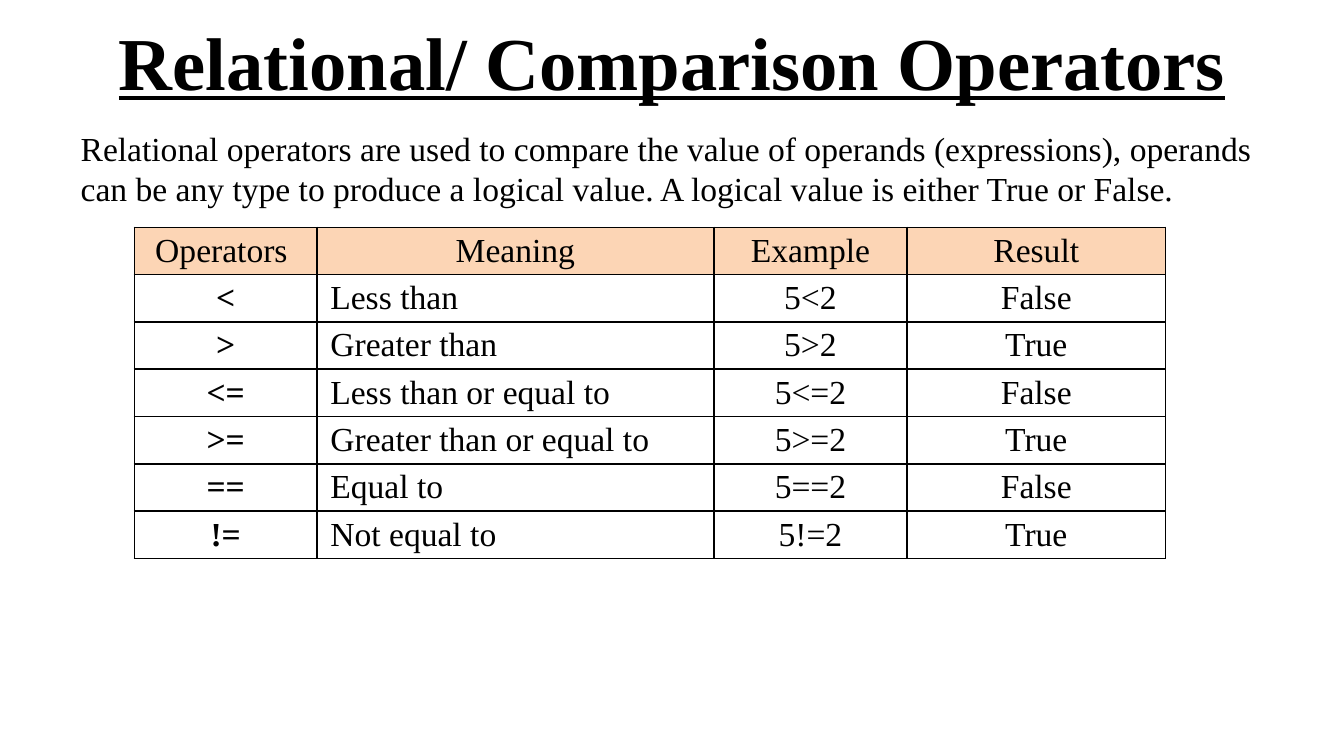
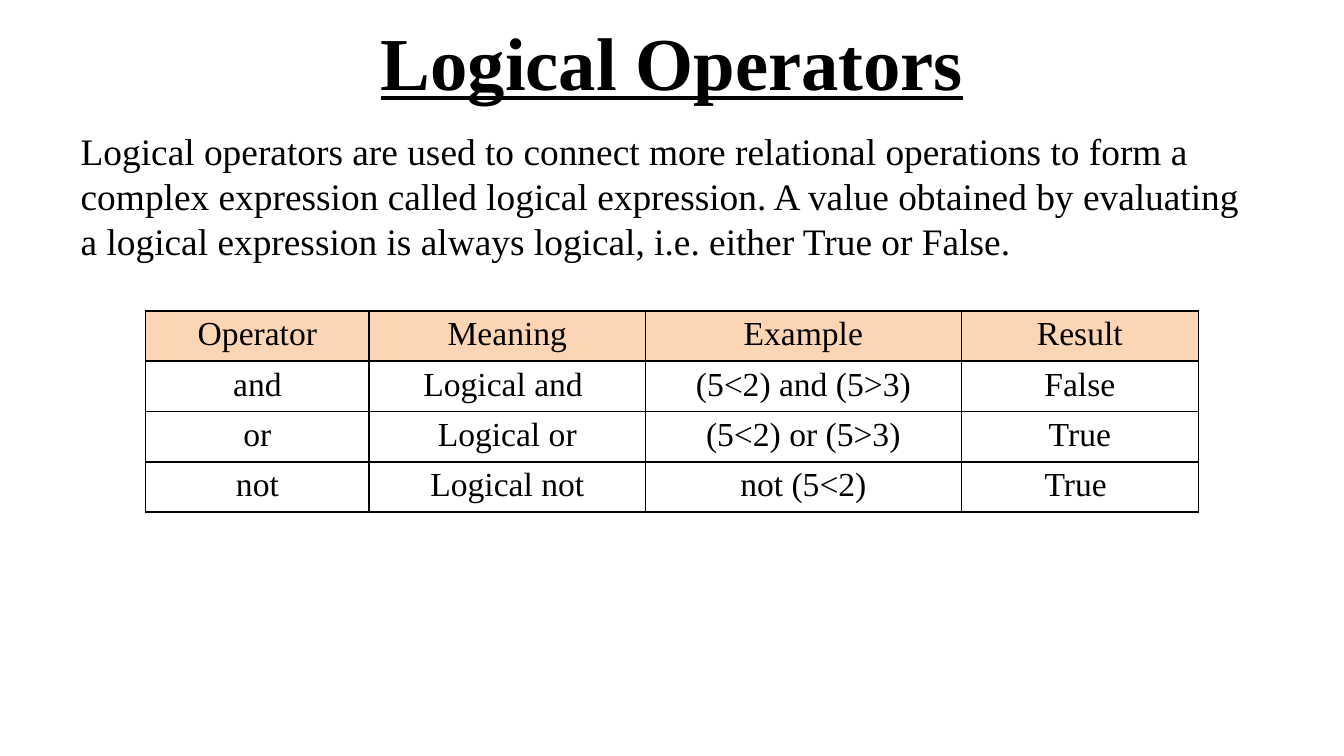
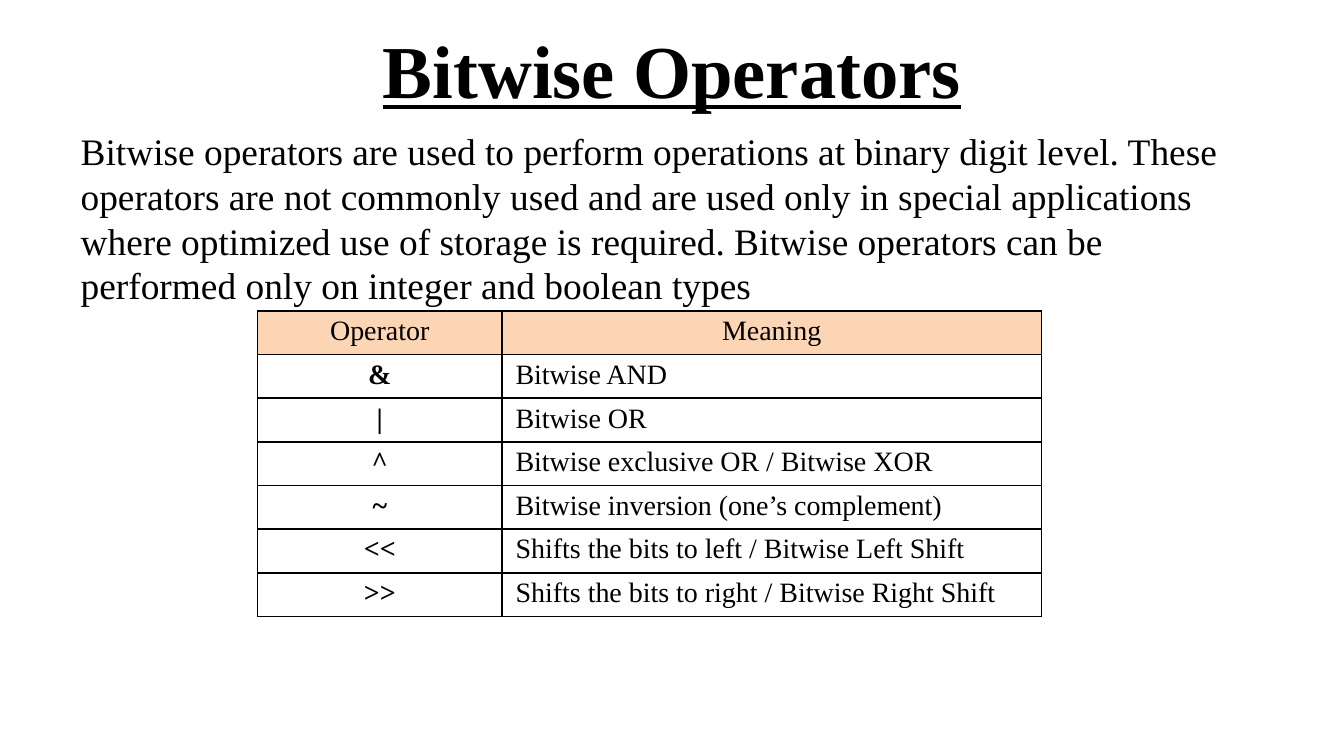
import pptx
import pptx.dml.color
import pptx.enum.text
import pptx.oxml.ns
import pptx.util
from lxml import etree

Pt = pptx.util.Pt
ALIGN = pptx.enum.text.PP_ALIGN

FONT = "Times New Roman"
BLACK = "000000"
HEADER_FILL = "FCD5B5"
MARGIN, CONTENT_WIDTH = 36, 648
TITLE_HEIGHT, TITLE_SIZE = 67.5, 40
BODY_TOP = 65
CELL_INSET_X, CELL_INSET_Y = 7.2, 2.7

SLIDES = [
    {
        "title": "Relational/ Comparison Operators", "title_top": -1.5,
        "body": "Relational operators are used to compare the value of operands (expressions), "
                "operands can be any type to produce a logical value. "
                "A logical value is either True or False.",
        "body_size": 18, "body_height": 66,
        "table_at": (72, 121.8), "columns": (97.8, 212.6, 103.6, 138.4),
        "row_height": 25.33, "table_size": 18, "symbols_first": True,
        "rows": [
            ("Operators ", "Meaning", "Example", "Result"),
            ("<", "Less than", "5<2", "False"),
            (">", "Greater than", "5>2", "True"),
            ("<=", "Less than or equal to", "5<=2", "False"),
            (">=", "Greater than or equal to", "5>=2", "True"),
            ("==", "Equal to", "5==2", "False"),
            ("!=", "Not equal to", "5!=2", "True"),
        ],
    },
    {
        "title": "Logical Operators", "title_top": -1.5,
        "body": "Logical operators are used to connect more relational operations to form a "
                "complex expression called logical expression. A value obtained by evaluating "
                "a logical expression is always logical, i.e. either True or False.",
        "body_size": 20, "body_height": 120,
        "table_at": (78, 166.5), "columns": (119.8, 148, 169.2, 127),
        "row_height": 27, "table_size": 18, "symbols_first": False,
        "rows": [
            ("Operator", "Meaning", "Example", "Result"),
            ("and", "Logical and ", "(5<2) and (5>3)", "False"),
            ("or", "Logical or", "(5<2) or (5>3)", "True"),
            ("not", "Logical not", "not (5<2)", "True "),
        ],
    },
    {
        "title": "Bitwise Operators", "title_top": 3,
        "body": "Bitwise operators are used to perform operations at binary digit level. These "
                "operators are not commonly used and are used only in special applications "
                "where optimized use of storage is required. Bitwise operators can be "
                "performed only on integer and boolean types",
        "body_size": 20, "body_height": 120,
        "table_at": (138, 166.5), "columns": (131, 289),
        "row_height": 23.4, "table_size": 15, "symbols_first": True,
        "rows": [
            ("Operator", "Meaning"),
            ("&", "Bitwise AND"),
            ("|", "Bitwise OR"),
            ("^", "Bitwise exclusive OR / Bitwise XOR"),
            ("~", "Bitwise inversion (one’s complement)"),
            ("<<", "Shifts the bits to left / Bitwise Left Shift"),
            (">>", "Shifts the bits to right / Bitwise Right Shift"),
        ],
    },
]


def color(value):
    return pptx.dml.color.RGBColor.from_string(value)


def place(shape, left, top, width, height):
    shape.left, shape.top, shape.width, shape.height = map(Pt, (left, top, width, height))


def write(text_frame, text, size, bold=False, align=ALIGN.LEFT):
    text_frame.text = text
    paragraph = text_frame.paragraphs[0]
    paragraph.alignment = align
    font = paragraph.font
    font.name, font.size, font.bold = FONT, Pt(size), bold
    font.color.rgb = color(BLACK)
    return paragraph


def add_title(slide, content):
    title = slide.shapes.title
    place(title, MARGIN, content["title_top"], CONTENT_WIDTH, TITLE_HEIGHT)
    title.text_frame.vertical_anchor = pptx.enum.text.MSO_ANCHOR.MIDDLE
    paragraph = write(title.text_frame, content["title"], TITLE_SIZE, True, ALIGN.CENTER)
    paragraph.font.underline = True


def add_body(slide, content):
    body = slide.placeholders[1]
    place(body, MARGIN, BODY_TOP, CONTENT_WIDTH, content["body_height"])
    paragraph = write(body.text_frame, content["body"], content["body_size"])
    properties = paragraph._p.get_or_add_pPr()
    properties.set("marL", "0")
    properties.set("indent", "0")
    bullet = etree.Element(pptx.oxml.ns.qn("a:buNone"))
    properties.insert_element_before(bullet, "a:tabLst", "a:defRPr", "a:extLst")


def add_borders(cell):
    qn = pptx.oxml.ns.qn
    properties = cell._tc.get_or_add_tcPr()
    for side in ("lnL", "lnR", "lnT", "lnB"):
        line = etree.SubElement(properties, qn("a:" + side), w=str(Pt(1)))
        fill = etree.SubElement(line, qn("a:solidFill"))
        etree.SubElement(fill, qn("a:srgbClr"), val=BLACK)


def format_cell(cell, is_header):
    cell.margin_left = cell.margin_right = Pt(CELL_INSET_X)
    cell.margin_top = cell.margin_bottom = Pt(CELL_INSET_Y)
    add_borders(cell)
    if is_header:
        cell.fill.solid()
        cell.fill.fore_color.rgb = color(HEADER_FILL)
    else:
        cell.fill.background()


def add_operator_table(slide, content):
    rows, columns = content["rows"], content["columns"]
    left, top = content["table_at"]
    size = (sum(columns), content["row_height"] * len(rows))
    frame = slide.shapes.add_table(len(rows), len(columns), *map(Pt, (left, top, *size)))
    table = frame.table
    table.first_row = table.horz_banding = False
    for column, width in zip(table.columns, columns):
        column.width = Pt(width)
    for row_index, row in enumerate(rows):
        table.rows[row_index].height = Pt(content["row_height"])
        is_header = row_index == 0
        has_symbol = content["symbols_first"] and not is_header
        for column_index, text in enumerate(row):
            cell = table.cell(row_index, column_index)
            format_cell(cell, is_header)
            align = ALIGN.LEFT if has_symbol and column_index == 1 else ALIGN.CENTER
            bold = has_symbol and column_index == 0
            write(cell.text_frame, text, content["table_size"], bold, align)


def main():
    presentation = pptx.Presentation()
    presentation.slide_width, presentation.slide_height = Pt(720), Pt(405)
    for content in SLIDES:
        slide = presentation.slides.add_slide(presentation.slide_layouts[1])
        add_title(slide, content)
        add_body(slide, content)
        add_operator_table(slide, content)
    presentation.save("out.pptx")


if __name__ == "__main__":
    main()
